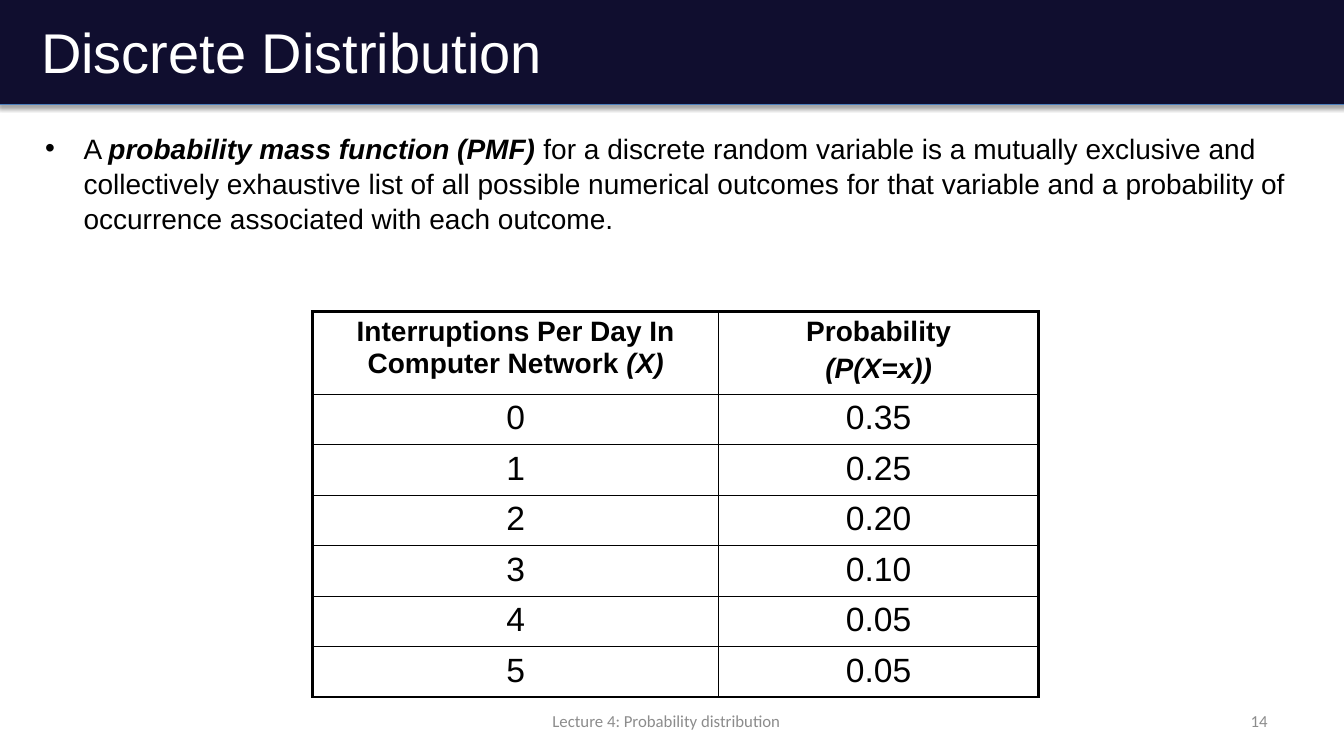
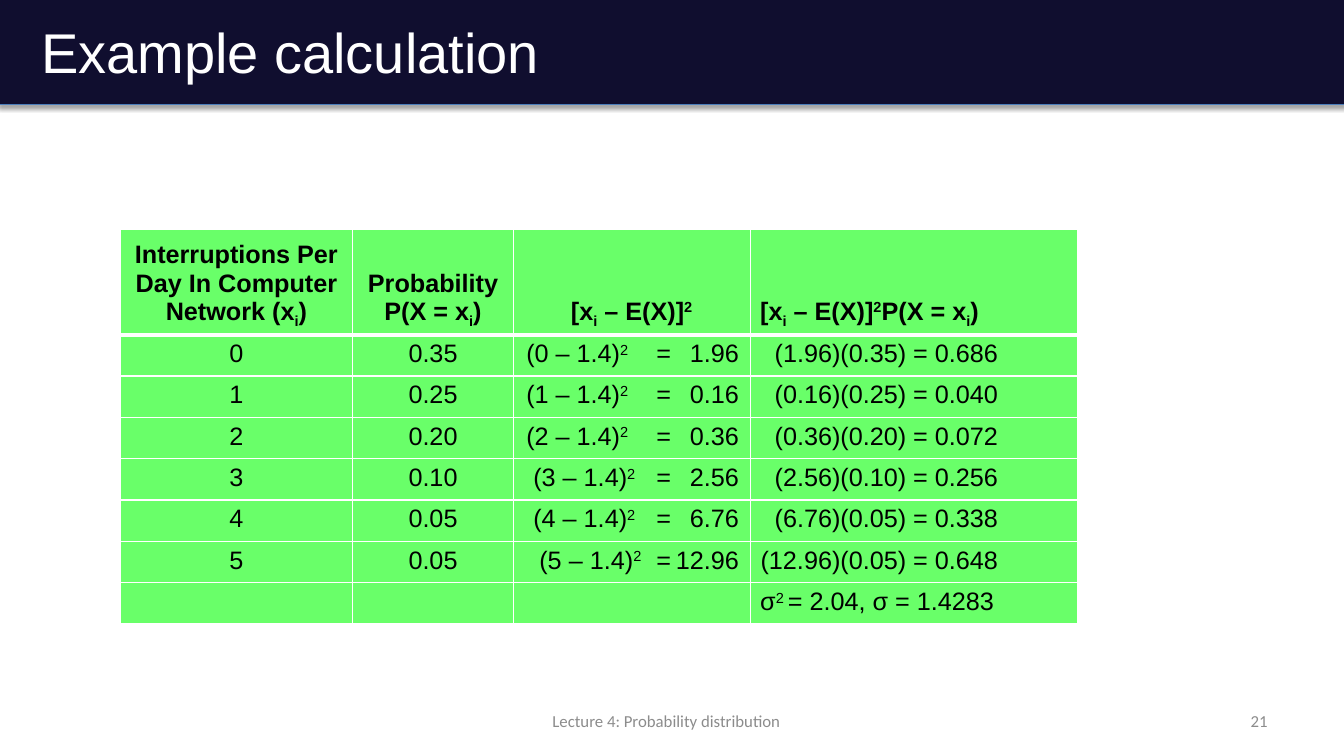
from lxml.etree import SubElement
from pptx import Presentation
from pptx.dml.color import RGBColor
from pptx.enum.shapes import MSO_SHAPE as Shape
from pptx.enum.text import MSO_ANCHOR as Anchor, PP_ALIGN as Align
from pptx.oxml.ns import qn
from pptx.util import Inches, Pt

NAVY = RGBColor(0x10, 0x0E, 0x2F)
BAND_EDGE = RGBColor(0x4B, 0x7E, 0xBC)
WHITE = RGBColor(0xFF, 0xFF, 0xFF)
BLACK = RGBColor(0, 0, 0)
GREY = RGBColor(0x8C, 0x8C, 0x8C)
GREEN = RGBColor(0x69, 0xFF, 0x69)

FOOTER = "Lecture 4: Probability distribution"
PROBABILITIES = [0.35, 0.25, 0.20, 0.10, 0.05, 0.05]
MEAN = 1.4
BASELINES = {"sub": "-25000", "sup": "30000"}
SUB_I = ("i", "sub")
SQUARED = ("2", "sup")


# Text
def write(frame, paragraphs, size, color=BLACK, font="Arial", align=Align.LEFT,
          bold=None, tabs=(), gap=0):
    """Each paragraph is a list of runs: a string or (string, style words)."""
    for index, runs in enumerate(paragraphs):
        paragraph = frame.add_paragraph() if index else frame.paragraphs[0]
        paragraph.alignment = align
        if index and gap:
            paragraph.space_before = Pt(gap)
        if tabs:
            add_tabs(paragraph, tabs)
        paragraph.font.name = font
        paragraph.font.size = Pt(size)
        paragraph.font.bold = bold
        paragraph.font.color.rgb = color
        for part in runs:
            text, style = (part, "") if isinstance(part, str) else part
            run = paragraph.add_run()
            run.text = text
            for word in style.split():
                if word in BASELINES:
                    run.font._element.set("baseline", BASELINES[word])
                else:
                    setattr(run.font, word, True)


def add_tabs(paragraph, tabs):
    tab_list = SubElement(paragraph._p.get_or_add_pPr(), qn("a:tabLst"))
    for position, side in tabs:
        SubElement(tab_list, qn("a:tab"), pos=str(Inches(position)), algn=side)


def add_text(slide, left, top, width, height, paragraphs, size,
             anchor=Anchor.MIDDLE, **style):
    box = slide.shapes.add_textbox(Inches(left), Inches(top),
                                   Inches(width), Inches(height))
    frame = box.text_frame
    frame.word_wrap = True
    frame.vertical_anchor = anchor
    write(frame, paragraphs, size, **style)
    return frame


def add_bullet_text(slide, runs):
    frame = add_text(slide, 0.35, 1.24, 12.71, 5.5, [[]], 20, anchor=Anchor.TOP)
    paragraph = frame.paragraphs[0]
    properties = paragraph._p.get_or_add_pPr()
    properties.remove(properties.find(qn("a:defRPr")))
    properties.set("marL", str(Inches(0.38)))
    properties.set("indent", str(-Inches(0.38)))
    paragraph.line_spacing = 1.04
    SubElement(properties, qn("a:buFont"), typeface="Arial")
    SubElement(properties, qn("a:buChar"), char="•")
    write(frame, [runs], 20)


# Tables
def add_grid(slide, left, top, widths, heights):
    frame = slide.shapes.add_table(
        len(heights), len(widths), Inches(left), Inches(top),
        Inches(sum(widths)), Inches(sum(heights)))
    table = frame.table
    table.first_row = table.horz_banding = False
    for column, width in zip(table.columns, widths):
        column.width = Inches(width)
    for row, height in zip(table.rows, heights):
        row.height = Inches(height)
    return table


def set_borders(cell, color, left, right, top, bottom):
    properties = cell._tc.get_or_add_tcPr()
    for side, points in zip("LRTB", (left, right, top, bottom)):
        line = SubElement(properties, qn("a:ln" + side), w=str(Pt(points)))
        fill = SubElement(line, qn("a:solidFill"))
        SubElement(fill, qn("a:srgbClr"), val=str(color))


# Parts shared by the slides
def add_band(slide):
    band = slide.shapes.add_shape(Shape.RECTANGLE, Inches(-0.01), Inches(-0.02),
                                  Inches(13.35), Inches(1.06))
    band.fill.solid()
    band.fill.fore_color.rgb = NAVY
    band.line.color.rgb = BAND_EDGE
    band.line.width = Pt(0.75)
    band.shadow.inherit = False
    effects = band._element.spPr.find(qn("a:effectLst"))
    shadow = SubElement(effects, qn("a:outerShdw"), blurRad=str(Pt(3.1)),
                        dist=str(Pt(1.8)), dir="5400000", rotWithShape="0")
    color = SubElement(shadow, qn("a:srgbClr"), val=str(BLACK))
    SubElement(color, qn("a:alpha"), val="35000")


def add_slide(presentation, title, number):
    slide = presentation.slides.add_slide(presentation.slide_layouts[6])
    add_band(slide)
    add_text(slide, 0.31, -0.12, 12, 1.25, [[title]], 40, color=WHITE)
    footer_style = dict(size=12, color=GREY, font="Calibri")
    add_text(slide, 2.92, 6.95, 7.38, 0.4, [[FOOTER]], align=Align.CENTER,
             **footer_style)
    add_text(slide, 10.3, 6.95, 2.37, 0.4, [[str(number)]], align=Align.RIGHT,
             **footer_style)
    return slide


# Slide contents
def build_distribution(presentation):
    slide = add_slide(presentation, "Discrete Distribution", 14)
    add_bullet_text(slide, [
        "A ", ("probability mass function (PMF) ", "bold italic"),
        "for a discrete random variable is a mutually exclusive and "
        "collectively exhaustive list of all possible numerical outcomes for "
        "that variable and a probability of occurrence associated with each "
        "outcome."])

    rows = [[[["Interruptions Per Day In Computer Network ", ("(X)", "italic")]],
             [["Probability"], [("(P(X=x))", "italic")]]]]
    rows += [[[[str(x)]], [[f"{p:.2f}"]]] for x, p in enumerate(PROBABILITIES)]
    table = add_grid(slide, 3.1, 3.09, [4.03, 3.17], [0.77] + [0.5] * 6)
    thick, thin = 2.25, 1
    for r, row in enumerate(rows):
        for c, paragraphs in enumerate(row):
            cell = table.cell(r, c)
            set_borders(cell, BLACK,
                        left=thin if c else thick,
                        right=thick if c else thin,
                        top=thin if r else thick,
                        bottom=thick if r == len(rows) - 1 else thin)
            cell.fill.background()
            write(cell.text_frame, paragraphs, 24 if r else 20,
                  align=Align.CENTER, bold=r == 0, gap=4)


def build_calculation(presentation):
    slide = add_slide(presentation, "Example calculation", 21)
    deviation = ["[x", SUB_I, " – E(X)]", SQUARED]
    rows = [[[["Interruptions Per Day In Computer Network (x", SUB_I, ")"]],
             [["Probability"], ["P(X = x", SUB_I, ")"]],
             [deviation],
             [deviation + ["P(X = x", SUB_I, ")"]]]]
    for x, p in enumerate(PROBABILITIES):
        square = (x - MEAN) ** 2
        rows.append([[[str(x)]], [[f"{p:.2f}"]],
                     [[f"\t({x} – {MEAN})", SQUARED, f"\t=\t{square:.2f}"]],
                     [[f"\t({square:.2f})({p:.2f}) = {square * p:.3f}"]]])
    rows.append([[[]], [[]], [[]], [["σ", ("2 ", "sup"), "= 2.04, σ = 1.4283"]]])

    formula_starts = [0.03, 0.03, 0.03, 0.1, 0.1, 0.16]
    table = add_grid(slide, 1.19, 2.28, [2.31, 1.59, 2.35, 3.25],
                     [1] + [0.41] * 7)
    for r, row in enumerate(rows):
        is_header = r == 0
        is_outcome = 0 < r <= len(PROBABILITIES)
        for c, paragraphs in enumerate(row):
            cell = table.cell(r, c)
            set_borders(cell, WHITE, left=1, right=1, top=3 if r == 1 else 1,
                        bottom=3 if is_header else 1)
            cell.fill.solid()
            cell.fill.fore_color.rgb = GREEN
            if is_header:
                cell.vertical_anchor = Anchor.BOTTOM
            tabs = ()
            if is_outcome and c == 2:
                tabs = [(formula_starts[r - 1], "l"), (1.32, "l"), (2.14, "r")]
            elif is_outcome and c == 3:
                tabs = [(2.36, "r")]
            centred = c < 2 or (is_header and c == 2)
            write(cell.text_frame, paragraphs, 18, bold=is_header, tabs=tabs,
                  align=Align.CENTER if centred else Align.LEFT)


def main():
    presentation = Presentation()
    presentation.slide_width = Inches(13.33)
    presentation.slide_height = Inches(7.5)
    build_distribution(presentation)
    build_calculation(presentation)
    presentation.save("out.pptx")


if __name__ == "__main__":
    main()
